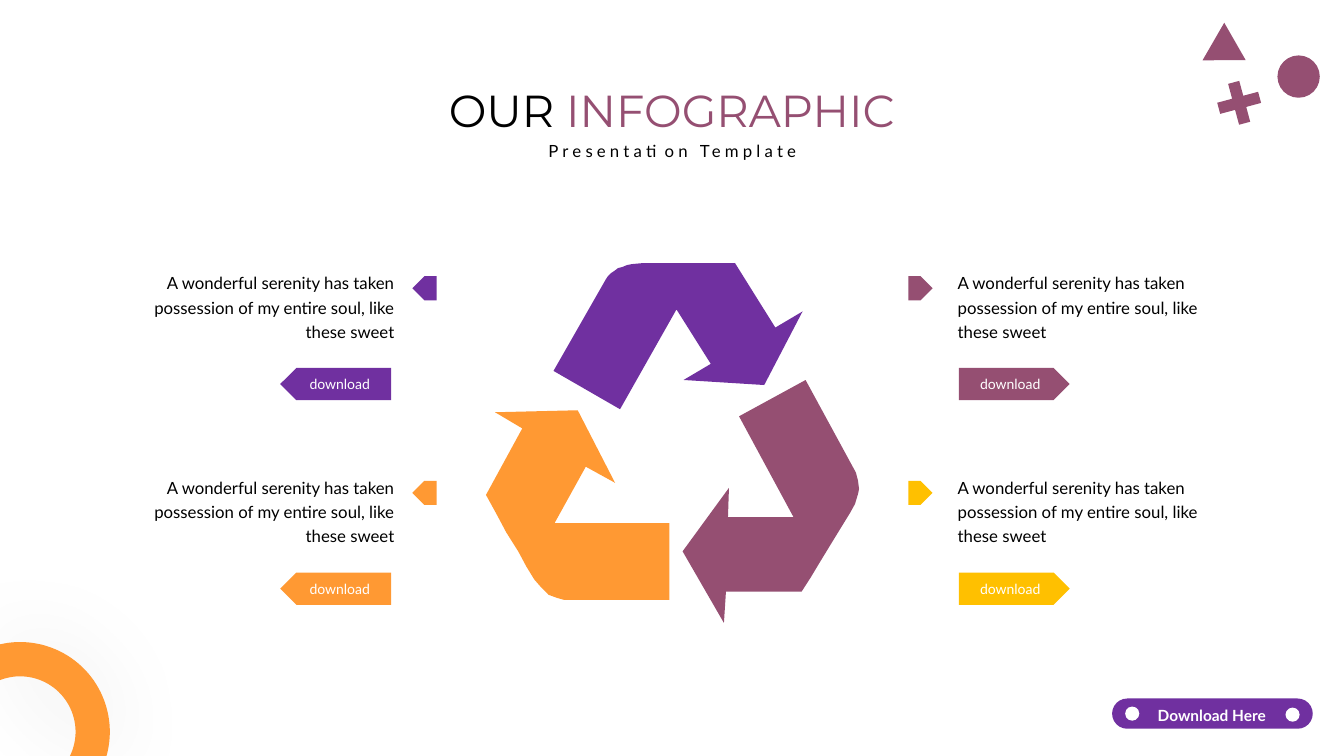
import math

from lxml import etree
from pptx import Presentation
from pptx.dml.color import RGBColor
from pptx.enum.shapes import MSO_SHAPE
from pptx.enum.text import MSO_ANCHOR, MSO_AUTO_SIZE, PP_ALIGN
from pptx.oxml.ns import qn
from pptx.util import Inches, Pt

LEFT, CENTER, RIGHT = PP_ALIGN.LEFT, PP_ALIGN.CENTER, PP_ALIGN.RIGHT
PENTAGON, OVAL = MSO_SHAPE.PENTAGON, MSO_SHAPE.OVAL

COLORS = {
    "orange": "FF9933",
    "purple": "7030A0",
    "mauve": "954F72",
    "yellow": "FFC000",
    "black": "000000",
    "white": "FFFFFF",
}

TITLE = [("OUR ", "black"), ("INFOGRAPHIC", "mauve")]
SUBTITLE = "Presentation Template"
BODY = "A wonderful serenity has taken possession of my entire soul, like these sweet"
BUTTON = "download"
FOOTER = "Download Here"

# Sides: text left, marker left, button left, alignment, mirrored
SIDES = {
    "left": (1.42, 4.09, 2.78, RIGHT, True),
    "right": (9.4, 9.01, 9.51, LEFT, False),
}
ITEMS = [  # side, row, color
    ("left", 0, "purple"),
    ("right", 0, "mauve"),
    ("left", 1, "orange"),
    ("right", 1, "yellow"),
]
FIRST_ROW_TOP, ROW_STEP = 2.62, 2.03

CYCLE_ARROWS = {
    "orange": [
        (5.73, 4.07), (6.1, 4.79), (5.81, 4.63), (5.5, 5.19), (6.64, 5.19),
        (6.64, 5.95), (5.59, 5.95), (5.52, 5.93), (5.44, 5.9), (5.37, 5.83),
        (5.3, 5.75), (5.22, 5.62), (5.14, 5.47), (5.02, 5.28), (4.93, 5.11),
        (4.82, 4.91), (5.18, 4.25), (4.91, 4.09),
    ],
    "purple": [
        (7.29, 2.61), (7.69, 3.25), (7.96, 3.09), (7.58, 3.82), (6.78, 3.77),
        (7.05, 3.61), (6.71, 3.07), (6.15, 4.06), (5.49, 3.68), (6.01, 2.77),
        (6.03, 2.74), (6.06, 2.71), (6.09, 2.69), (6.13, 2.66), (6.17, 2.65),
        (6.22, 2.63), (6.27, 2.62), (6.38, 2.61),
    ],
    "mauve": [
        (7.99, 3.77), (8.49, 4.69), (8.51, 4.77), (8.52, 4.85), (8.51, 4.9),
        (8.48, 5), (8.43, 5.09), (8.35, 5.22), (8.24, 5.4), (8.13, 5.58),
        (8.04, 5.73), (7.95, 5.87), (7.2, 5.87), (7.18, 6.18), (6.77, 5.47),
        (7.23, 4.84), (7.22, 5.13), (7.87, 5.13), (7.33, 4.13),
    ],
}

ORNAMENTS = [  # preset, box, rotation
    (OVAL, (12.67, 0.55, 0.42, 0.42), 255),
    (MSO_SHAPE.ISOSCELES_TRIANGLE, (11.98, 0.32, 0.43, 0.37), 300),
    (MSO_SHAPE.CROSS, (12.08, 0.81, 0.42, 0.42), 255),
]

RING_CENTER, RING_OUTER, RING_INNER = (0.2, 7.26), 0.89, 0.55
SLIDE_WIDTH, SLIDE_HEIGHT = 13.33, 7.5

presentation = Presentation()
presentation.slide_width = Inches(SLIDE_WIDTH)
presentation.slide_height = Inches(SLIDE_HEIGHT)
slide = presentation.slides.add_slide(presentation.slide_layouts[6])


def rgb(color):
    return RGBColor.from_string(COLORS[color])


def paint(shape, color):
    shape.shadow.inherit = False
    shape.fill.solid()
    shape.fill.fore_color.rgb = rgb(color)
    shape.line.fill.background()


def add_preset(preset, box, color, flip=None, rotation=0):
    """Add a filled preset shape; flip is "flipH", "flipV" or None."""
    shape = slide.shapes.add_shape(preset, *map(Inches, box))
    paint(shape, color)
    shape.rotation = rotation
    if flip:
        shape._element.spPr.find(qn("a:xfrm")).set(flip, "1")
    return shape


def add_outline(points, color):
    start, *rest = [(Inches(x), Inches(y)) for x, y in points]
    builder = slide.shapes.build_freeform(*start, scale=1.0)
    builder.add_line_segments(rest, close=True)
    shape = builder.convert_to_shape()
    paint(shape, color)
    return shape


def write(shape, runs, size, align, font="Lato", spacing=None):
    """Fill the first paragraph with (text, color) runs."""
    paragraph = shape.text_frame.paragraphs[0]
    paragraph.alignment = align
    if spacing:
        paragraph.line_spacing = spacing
    paragraph.font.name = font
    paragraph.font.size = Pt(size)
    for text, color in runs:
        run = paragraph.add_run()
        run.text = text
        run.font.color.rgb = rgb(color)
    return paragraph


def add_text(box, runs, size, align, font="Lato", spacing=1.2):
    shape = slide.shapes.add_textbox(*map(Inches, box))
    shape.text_frame.word_wrap = True
    shape.text_frame.auto_size = MSO_AUTO_SIZE.SHAPE_TO_FIT_TEXT
    return write(shape, runs, size, align, font, spacing)


def ring_arc(radius, steps=40):
    """Points of the ring from the slide's left edge round to its bottom edge."""
    center_x, center_y = RING_CENTER
    start = -math.acos(-center_x / radius)
    end = math.asin((SLIDE_HEIGHT - center_y) / radius)
    angles = [start + (end - start) * step / steps for step in range(steps + 1)]
    return [(center_x + radius * math.cos(angle), center_y + radius * math.sin(angle))
            for angle in angles]


def add_glow(shape, blur, opacity):
    """Give the shape a soft, centred black shadow."""
    effects = shape._element.spPr.find(qn("a:effectLst"))
    shadow = etree.SubElement(effects, qn("a:outerShdw"), blurRad=str(Pt(blur)),
                              dist="0", dir="0", algn="ctr", rotWithShape="0")
    color = etree.SubElement(shadow, qn("a:srgbClr"), val=COLORS["black"])
    etree.SubElement(color, qn("a:alpha"), val=str(opacity * 1000))


for color, points in CYCLE_ARROWS.items():
    add_outline(points, color)

for side, row, color in ITEMS:
    text_left, marker_left, button_left, align, mirrored = SIDES[side]
    top = FIRST_ROW_TOP + row * ROW_STEP
    flip = "flipH" if mirrored else None
    add_text((text_left, top, 2.59, 0.81), [(BODY, "black")], 12, align)
    add_preset(PENTAGON, (marker_left, top + 0.12, 0.24, 0.24), color, flip)
    button = add_preset(PENTAGON, (button_left, top + 1.03, 1.1, 0.32), color, flip)
    button.text_frame.vertical_anchor = MSO_ANCHOR.MIDDLE
    write(button, [(BUTTON, "white")], 10, CENTER)

for preset, box, rotation in ORNAMENTS:
    ornament = add_preset(preset, box, "mauve", "flipV", rotation)
    if preset == MSO_SHAPE.CROSS:
        ornament.adjustments[0] = 0.364

add_text((3.78, 0.77, 5.77, 0.64), TITLE, 32, CENTER, "Montserrat", None)
subtitle = add_text((5.03, 1.31, 3.28, 0.32), [(SUBTITLE, "black")], 12, CENTER)
subtitle.runs[0].font._element.set("spc", "300")

ring = add_outline(ring_arc(RING_OUTER) + ring_arc(RING_INNER)[::-1], "orange")
add_glow(ring, 65, 7)

pill = add_preset(MSO_SHAPE.ROUNDED_RECTANGLE, (11.03, 6.93, 1.99, 0.3), "purple")
pill.adjustments[0] = 0.5
for dot_left, dot_top in [(11.16, 7.01), (12.75, 7.02)]:
    add_preset(OVAL, (dot_left, dot_top, 0.14, 0.14), "white")
footer = add_text((11.3, 6.92, 1.44, 0.3), [(FOOTER, "white")], 11, CENTER)
footer.font.bold = True

presentation.save("out.pptx")
